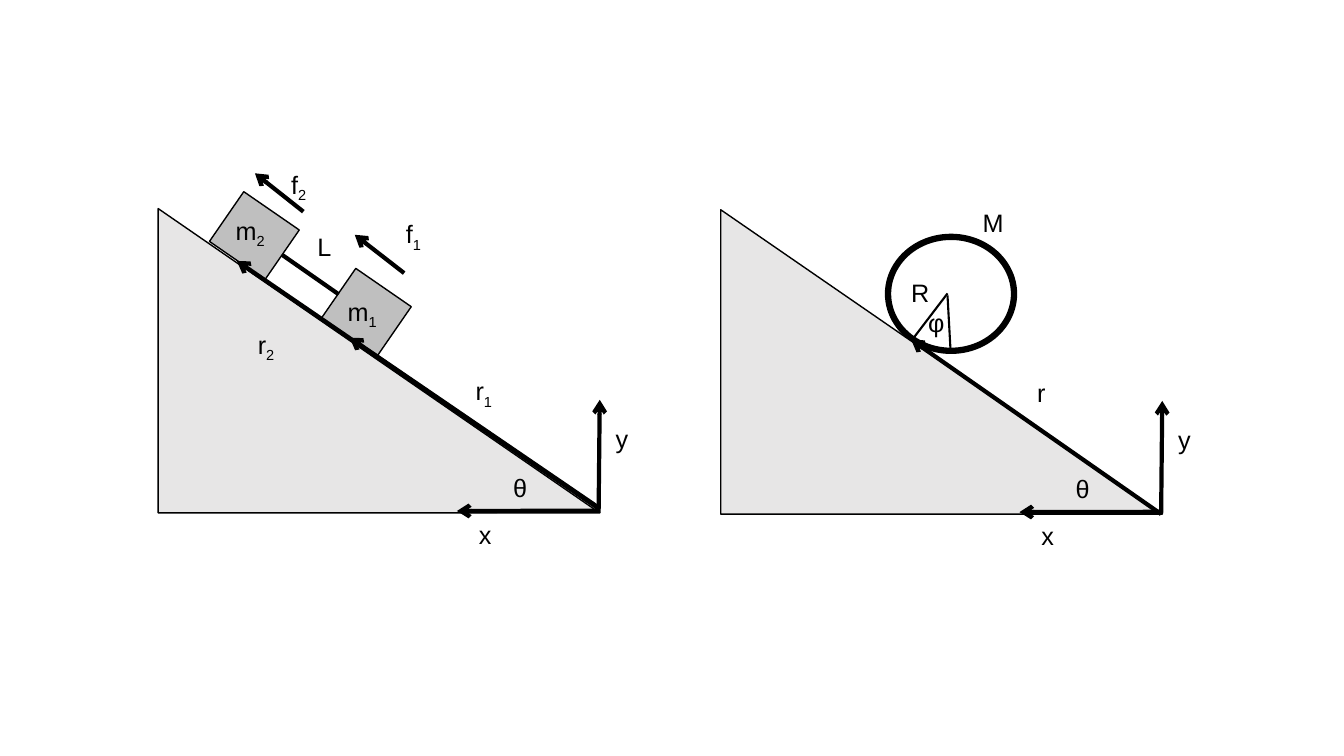
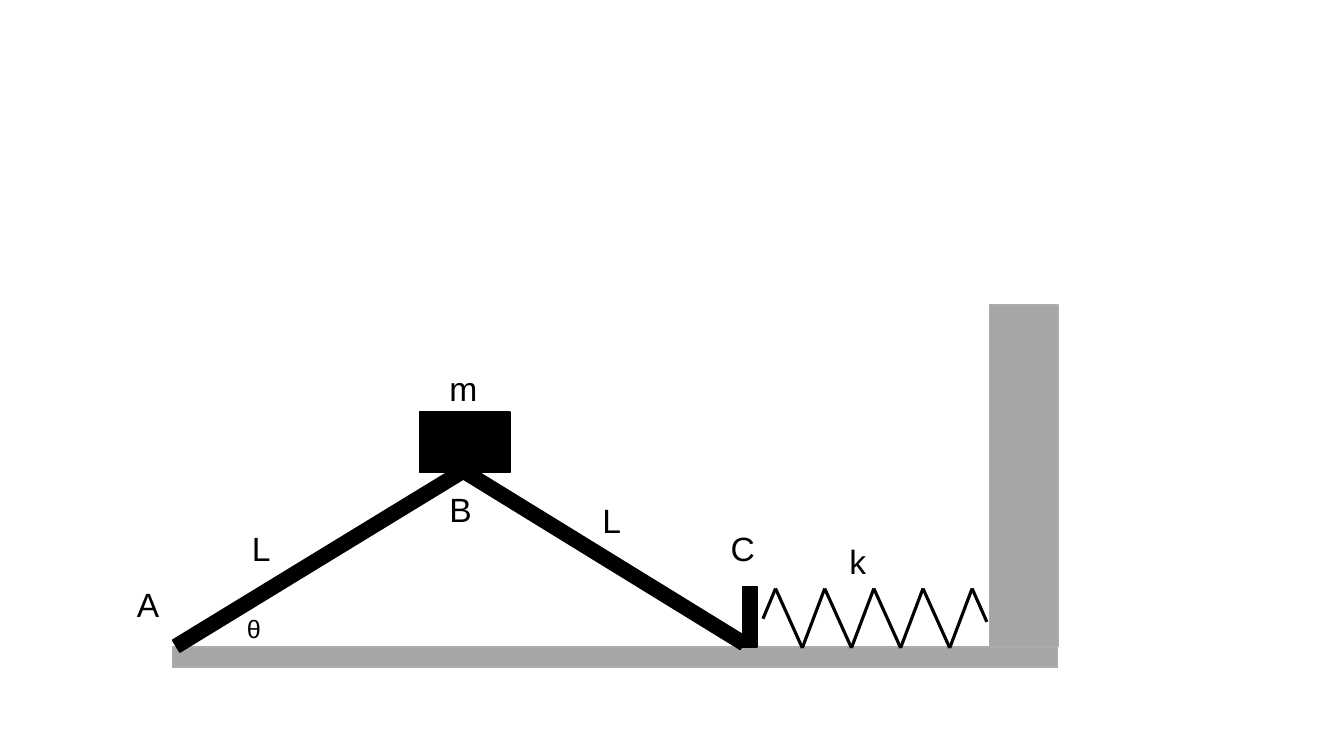
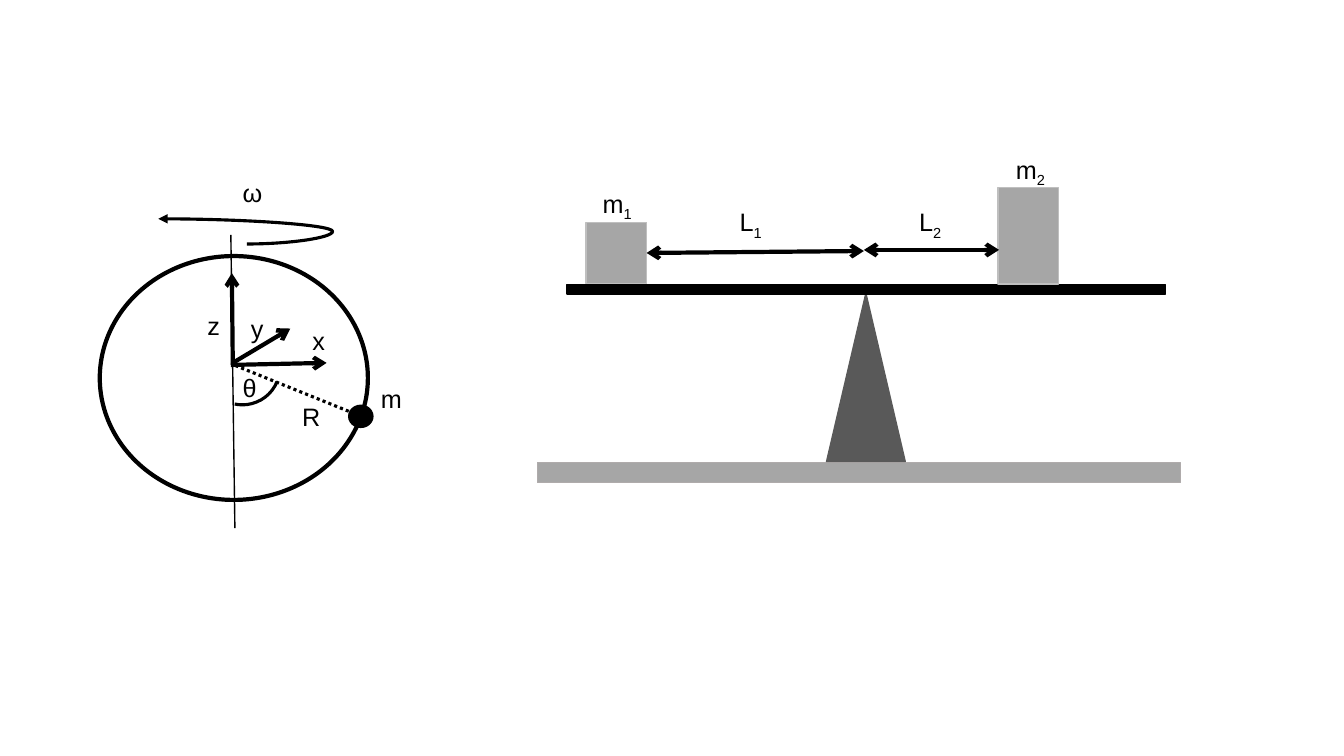
from itertools import chain, pairwise

from lxml.etree import SubElement
from pptx import Presentation
from pptx.dml.color import RGBColor
from pptx.enum.dml import MSO_LINE
from pptx.enum.shapes import MSO_CONNECTOR as CONNECTOR, MSO_SHAPE as SHAPE
from pptx.enum.text import MSO_AUTO_SIZE as AUTO_SIZE
from pptx.oxml.ns import qn
from pptx.util import Pt

COLORS = {
    "ink": "000000",
    "slope": "E7E6E6",
    "block": "BFBFBF",
    "solid": "A6A6A6",
    "edge": "AFABAB",
    "pivot": "595959",
}
FONT = "Arial"
LEFT_SIDE, RIGHT_SIDE = 1, 3


def rgb(name):
    """Return the named colour."""
    return RGBColor.from_string(COLORS[name])


class Region:
    """Places parts on a slide relative to a corner, in points."""

    def __init__(self, slide, left, top):
        """Remember the slide's shapes and the corner."""
        self.shapes, self.left, self.top = slide.shapes, left, top

    def at(self, x, y):
        """Return the slide position of a point of the region."""
        return Pt(self.left + x), Pt(self.top + y)

    def shape(self, kind, box, fill=None, edge="ink", weight=1, rotation=0, adjustments=()):
        """Add a preset shape."""
        x, y, width, height = box
        shape = self.shapes.add_shape(kind, *self.at(x, y), Pt(width), Pt(height))
        shape.shadow.inherit = False
        shape.rotation = rotation
        for index, value in enumerate(adjustments):
            shape.adjustments[index] = value
        if fill:
            shape.fill.solid()
            shape.fill.fore_color.rgb = rgb(fill)
        else:
            shape.fill.background()
        shape.line.color.rgb = rgb(edge)
        shape.line.width = Pt(weight)
        return shape

    def line(self, start, end, weight=3, head=None, tail=None, kind=CONNECTOR.STRAIGHT,
             begin_joint=None, end_joint=None):
        """Add a connector, with optional arrowheads and joints."""
        begin, finish = self.at(*start), self.at(*end)
        line = self.shapes.add_connector(kind, *begin, *finish)
        if begin_joint:
            line.begin_connect(*begin_joint)
        if end_joint:
            line.end_connect(*end_joint)
        line.begin_x, line.begin_y = begin
        line.end_x, line.end_y = finish
        line.line.color.rgb = rgb("ink")
        line.line.width = Pt(weight)
        outline = line.line._get_or_add_ln()
        for tag, arrow in (("a:headEnd", head), ("a:tailEnd", tail)):
            if arrow:
                SubElement(outline, qn(tag), type=arrow)
        SubElement(line._element.spPr, qn("a:effectLst"))
        return line

    def arrow(self, start, end, **options):
        """Add a line with an open arrowhead at its end."""
        return self.line(start, end, tail="arrow", **options)

    def labels(self, items, size=18):
        """Add labels; an underscore in a label starts its subscript."""
        for text, x, y, width in items:
            box = self.shapes.add_textbox(*self.at(x, y), Pt(width), Pt(size * 1.2 + 7.2))
            frame = box.text_frame
            frame.word_wrap = False
            frame.auto_size = AUTO_SIZE.SHAPE_TO_FIT_TEXT
            paragraph = frame.paragraphs[0]
            base, _, subscript = text.partition("_")
            paragraph.add_run().text = base
            if subscript:
                run = paragraph.add_run()
                run.text = subscript
                run._r.get_or_add_rPr().set("baseline", "-25000")
            paragraph.font.name = FONT
            paragraph.font.size = Pt(size)
            paragraph.font.color.rgb = rgb("ink")


def draw_incline(region):
    """Draw the slope with its axes and angle."""
    region.shape(SHAPE.ISOSCELES_TRIANGLE, (0, 0, 315.4, 217.4), "slope", adjustments=[0])
    region.arrow((315.4, 215.8), (213.4, 216))
    region.arrow((314.6, 217.4), (315.4, 136.6))
    region.labels([("x", 222, 218.6, 23), ("y", 319.7, 149.8, 23), ("θ", 246.5, 185, 24.5)])


def draw_blocks(slide, left, top):
    """Draw two joined blocks on a slope."""
    region = Region(slide, left, top)
    draw_incline(region)
    lower, upper = [
        region.shape(SHAPE.RECTANGLE, (x, y, 48.2, 43.2), "block", rotation=34.6)
        for x, y in ((124.6, 52.6), (44.6, -2.2))
    ]
    for start, end in (
        ((313.9, 213.1), (136.8, 92.2)),
        ((313.9, 213.8), (56.2, 37.4)),
        ((175.7, 46.1), (140.4, 18.7)),
        ((103.7, 2.2), (69.1, -25.2)),
    ):
        region.arrow(start, end)
    region.line((128.9, 61.2), (88.6, 33.1),
                begin_joint=(lower, LEFT_SIDE), end_joint=(upper, RIGHT_SIDE))
    region.labels([
        ("r_1", 219.6, 115.9, 27.4), ("r_2", 64.1, 82.8, 27.4),
        ("f_1", 169.9, 3.6, 26), ("f_2", 87.8, -31.7, 26),
        ("L", 106.6, 13, 24.5),
        ("m_1", 128.2, 59, 36.7), ("m_2", 48.2, 1.4, 36.7),
    ])


def draw_ring(slide, left, top):
    """Draw a ring rolling on a slope."""
    region = Region(slide, left, top)
    region.shape(SHAPE.OVAL, (119.5, 19.4, 90, 81.4), weight=4.5)
    draw_incline(region)
    region.arrow((314.6, 217.4), (136.1, 92.9))
    region.line((136.8, 92.9), (162, 59.8), 1.5)
    region.line((164.2, 100.8), (162, 61.2), 1.5)
    region.labels([
        ("r", 218.9, 115.9, 20.9), ("M", 180, -5, 29.5),
        ("R", 128.9, 44.6, 27.4), ("φ", 141.1, 66.2, 25.9),
    ])


def draw_linkage(slide, left, top):
    """Draw a loaded pair of bars pushing a spring against a wall."""
    region = Region(slide, left, top)
    region.shape(SHAPE.RECTANGLE, (0, 244.8, 632.2, 14.4), "solid", "edge")
    for x, y, rotation in ((-15.1, 175.7, 328.6), (182.9, 173.5, 31.6)):
        region.shape(SHAPE.RECTANGLE, (x, y, 243.4, 10.1), "ink", rotation=rotation)
    region.shape(SHAPE.RECTANGLE, (407.5, 201.6, 10.1, 43.2), "ink")
    peaks = [(430.9 + 35.1 * turn, 203) for turn in range(5)]
    valleys = [(450 + 35.1 * turn, 245.4) for turn in range(4)]
    coils = chain.from_iterable(zip(peaks, valleys))
    for start, end in pairwise([(421.9, 224.6), *coils, peaks[-1], (581.8, 226.8)]):
        region.line(start, end, 2.25)
    region.shape(SHAPE.RECTANGLE, (583.6, 0.4, 49, 244.1), "solid", "edge")
    region.shape(SHAPE.RECTANGLE, (176.4, 77, 64.8, 43.2), "ink")
    region.labels([
        ("m", 190.8, 41.8, 34.6), ("A", -32.4, 195.8, 31), ("B", 190.8, 128.2, 31),
        ("L", 300.2, 136.1, 28), ("k", 476.6, 165.6, 26.6), ("C", 391.7, 156.2, 32.4),
        ("L", 49.7, 156.2, 28),
    ], size=24)
    region.labels([("θ", 46.1, 217.4, 24.5)])


def draw_hoop(slide, left, top):
    """Draw a bead on a hoop spinning about its axis."""
    region = Region(slide, left, top)
    region.arrow((93.6, 77.8), (162, 76.3))
    region.arrow((95, 77.8), (94.3, 12.2))
    region.shape(SHAPE.OVAL, (0, 0, 191.5, 174.2), weight=3)
    region.arrow((95, 76.3), (136.1, 51.8))
    region.shape(SHAPE.OVAL, (177.8, 106.6, 17.3, 15.8), "ink")
    radius = region.line((177.8, 110.9), (95.8, 77.8), 2.25)
    radius.line.dash_style = MSO_LINE.ROUND_DOT
    region.line((96.5, 194.4), (93.6, -15.1), 1)
    region.shape(SHAPE.ARC, (74.9, 52.6, 53.3, 54), weight=2.25, rotation=112.3,
                 adjustments=[162, 209.39])
    spin = region.line((105.1, -8.6), (41.8, -26.6), 2.25, tail="triangle",
                       kind=CONNECTOR.CURVE)
    geometry = spin._element.spPr.find(qn("a:prstGeom"))
    SubElement(geometry.find(qn("a:avLst")), qn("a:gd"), name="adj1", fmla="val -96700")
    region.labels([
        ("x", 144.7, 46.1, 23.8), ("z", 69.8, 35.3, 23.8), ("y", 100.8, 37.4, 23.8),
        ("θ", 95, 79.2, 24.5), ("ω", 95, -59.8, 28.8), ("m", 193.7, 87.1, 29.5),
        ("R", 137.5, 100.1, 27.4),
    ])


def draw_seesaw(slide, left, top):
    """Draw two masses balanced on a seesaw."""
    region = Region(slide, left, top)
    light = region.shape(SHAPE.RECTANGLE, (34.9, 24.8, 43.2, 43.9), "solid", "block")
    region.shape(SHAPE.RECTANGLE, (0, 196.6, 459.4, 14.4), "solid", "edge")
    region.shape(SHAPE.ISOSCELES_TRIANGLE, (206.6, 75.6, 56.2, 120.2), "pivot", "pivot")
    region.shape(SHAPE.RECTANGLE, (21.2, 69.5, 427.7, 6.5), "ink")
    region.shape(SHAPE.RECTANGLE, (329, 0, 43.2, 69.1), "solid", "block")
    region.arrow((78.1, 46.8), (233.3, 45.4), head="arrow", begin_joint=(light, RIGHT_SIDE))
    region.arrow((233.3, 44.6), (329.8, 44.6), head="arrow")
    region.labels([
        ("m_1", 39.6, -2.9, 36.7), ("m_2", 334.8, -27.4, 36.7),
        ("L_1", 137.5, 10.1, 31.7), ("L_2", 265.7, 10.1, 31.7),
    ])


def main():
    """Build and save the presentation."""
    presentation = Presentation()
    presentation.slide_width, presentation.slide_height = Pt(960), Pt(540)
    for drawings in (
        ((draw_blocks, 113, 149), (draw_ring, 514.8, 149.8)),
        ((draw_linkage, 123.1, 217.4),),
        ((draw_hoop, 71.3, 182.9), (draw_seesaw, 383.8, 133.9)),
    ):
        slide = presentation.slides.add_slide(presentation.slide_layouts[6])
        for draw, left, top in drawings:
            draw(slide, left, top)
    presentation.save("out.pptx")


if __name__ == "__main__":
    main()
